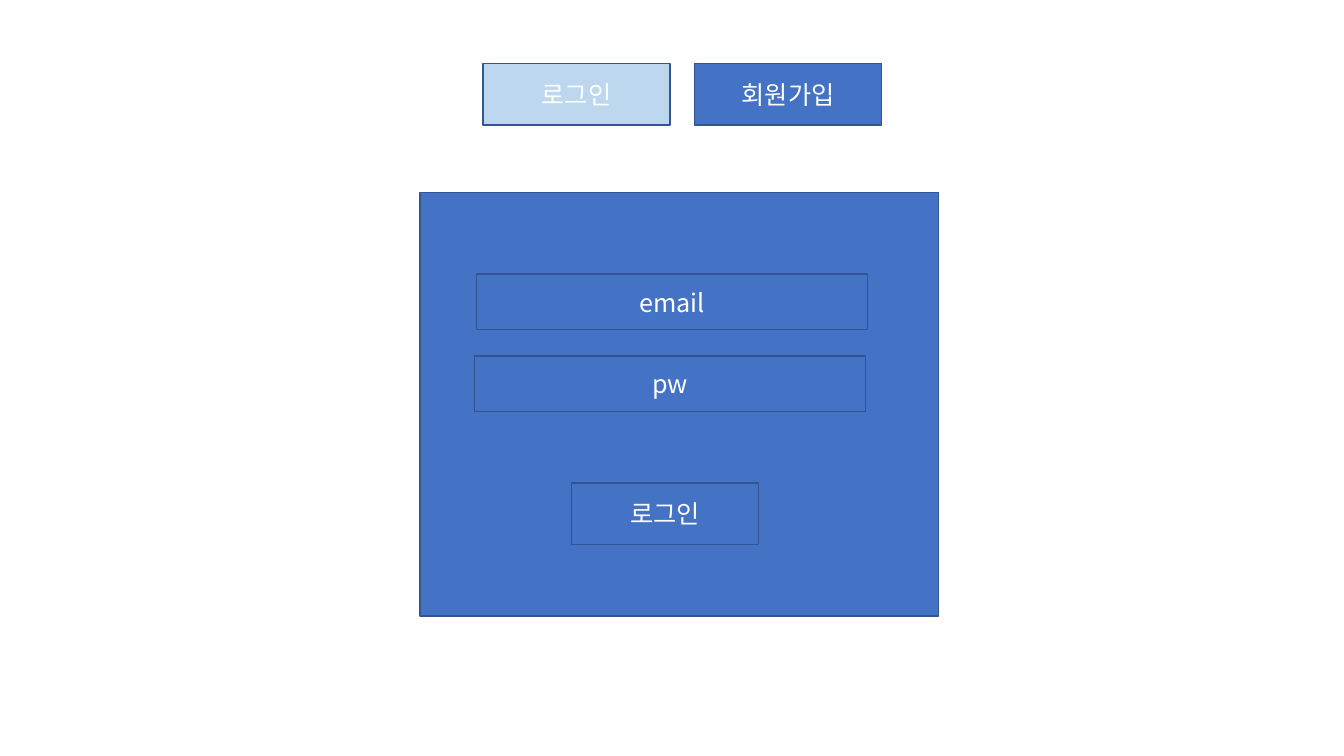
from typing import NamedTuple

from lxml import etree
from pptx import Presentation
from pptx.dml.color import RGBColor
from pptx.enum.shapes import MSO_SHAPE
from pptx.enum.text import MSO_ANCHOR, PP_ALIGN
from pptx.oxml.ns import qn
from pptx.util import Cm, Pt

RECT = MSO_SHAPE.RECTANGLE
MIDDLE = MSO_ANCHOR.MIDDLE
CENTER = PP_ALIGN.CENTER

FONT = "Noto Sans CJK KR"
BLUE, PALE_BLUE, OUTLINE, WHITE = "4472C4", "BDD7EE", "325491", "FFFFFF"


class Size(NamedTuple):
    width: float
    height: float


class Box(NamedTuple):
    left: float
    top: float
    size: Size
    text: str = ""
    fill: str = BLUE


BUTTON = Size(4.72, 1.55)
FIELD = Size(9.86, 1.4)
PANEL = Size(13.06, 10.67)

BOXES = [
    Box(12.17, 1.6, BUTTON, "로그인", PALE_BLUE),
    Box(17.5, 1.6, BUTTON, "회원가입"),
    Box(10.59, 4.85, PANEL),
    Box(12.01, 6.91, FIELD, "email"),
    Box(11.96, 8.97, FIELD, "pw"),
    Box(14.4, 12.17, BUTTON, "로그인"),
]


def rgb(color: str) -> RGBColor:
    return RGBColor.from_string(color)


def add_label(sp, text: str) -> None:
    tf = sp.text_frame
    tf.vertical_anchor = MIDDLE
    p = tf.paragraphs[0]
    p.alignment = CENTER
    r = p.add_run()
    r.text = text
    for name, value in {"size": Pt(18), "name": FONT}.items():
        setattr(r.font, name, value)
    r.font.color.rgb = rgb(WHITE)
    # Hangul takes its typeface from the East Asian font entry
    etree.SubElement(r.font._element, qn("a:ea"), typeface=FONT)


def add_box(s, box: Box) -> None:
    sp = s.shapes.add_shape(RECT, Cm(box.left), Cm(box.top), *map(Cm, box.size))
    sp.shadow.inherit = False
    sp.fill.solid()
    sp.fill.fore_color.rgb = rgb(box.fill)
    sp.line.color.rgb = rgb(OUTLINE)
    sp.line.width = Pt(1)
    if box.text:
        add_label(sp, box.text)


def main() -> None:
    prs = Presentation()
    prs.slide_width, prs.slide_height = Cm(33.87), Cm(19.05)
    s = prs.slides.add_slide(prs.slide_layouts[6])
    for box in BOXES:
        add_box(s, box)
    prs.save("out.pptx")


if __name__ == "__main__":
    main()
